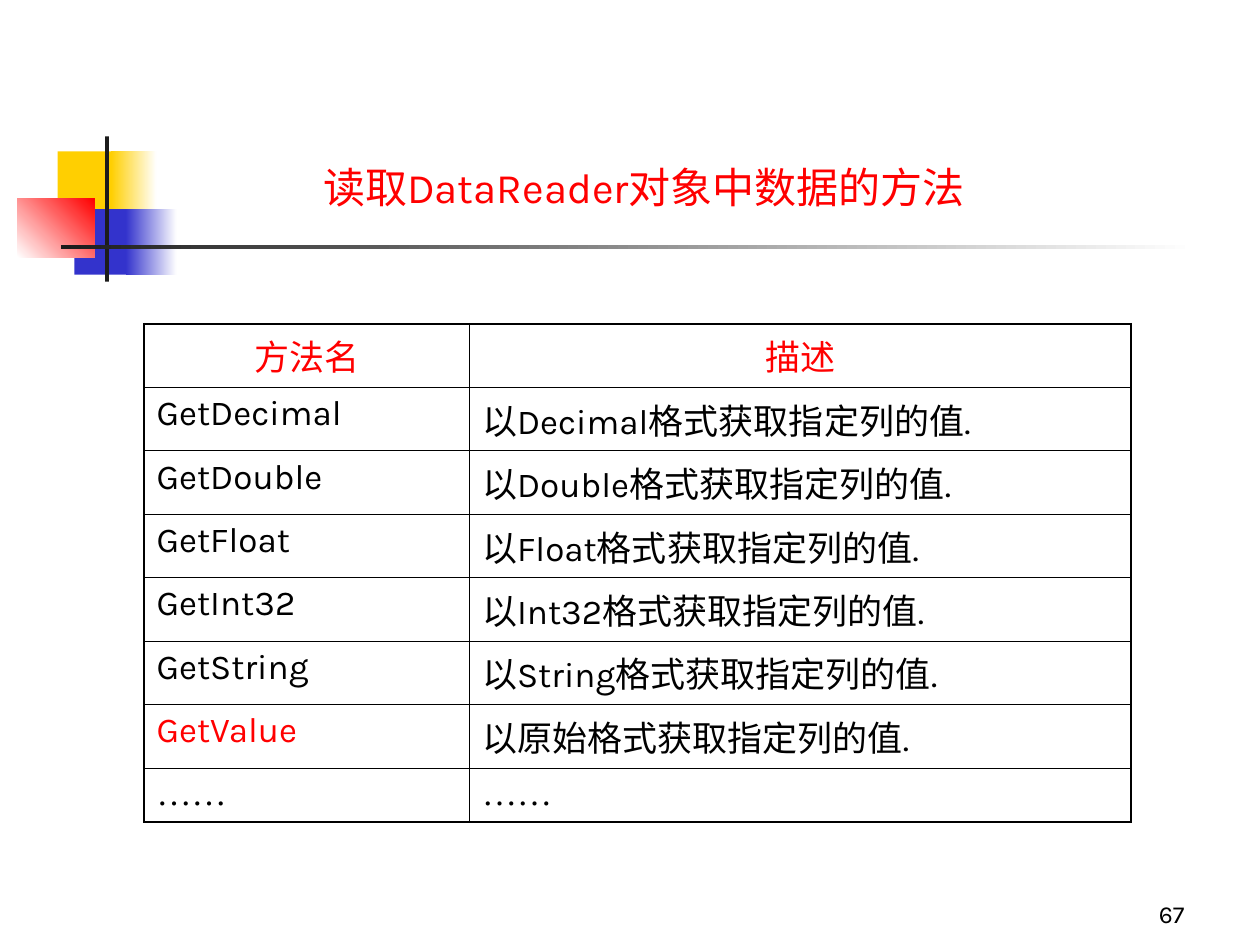
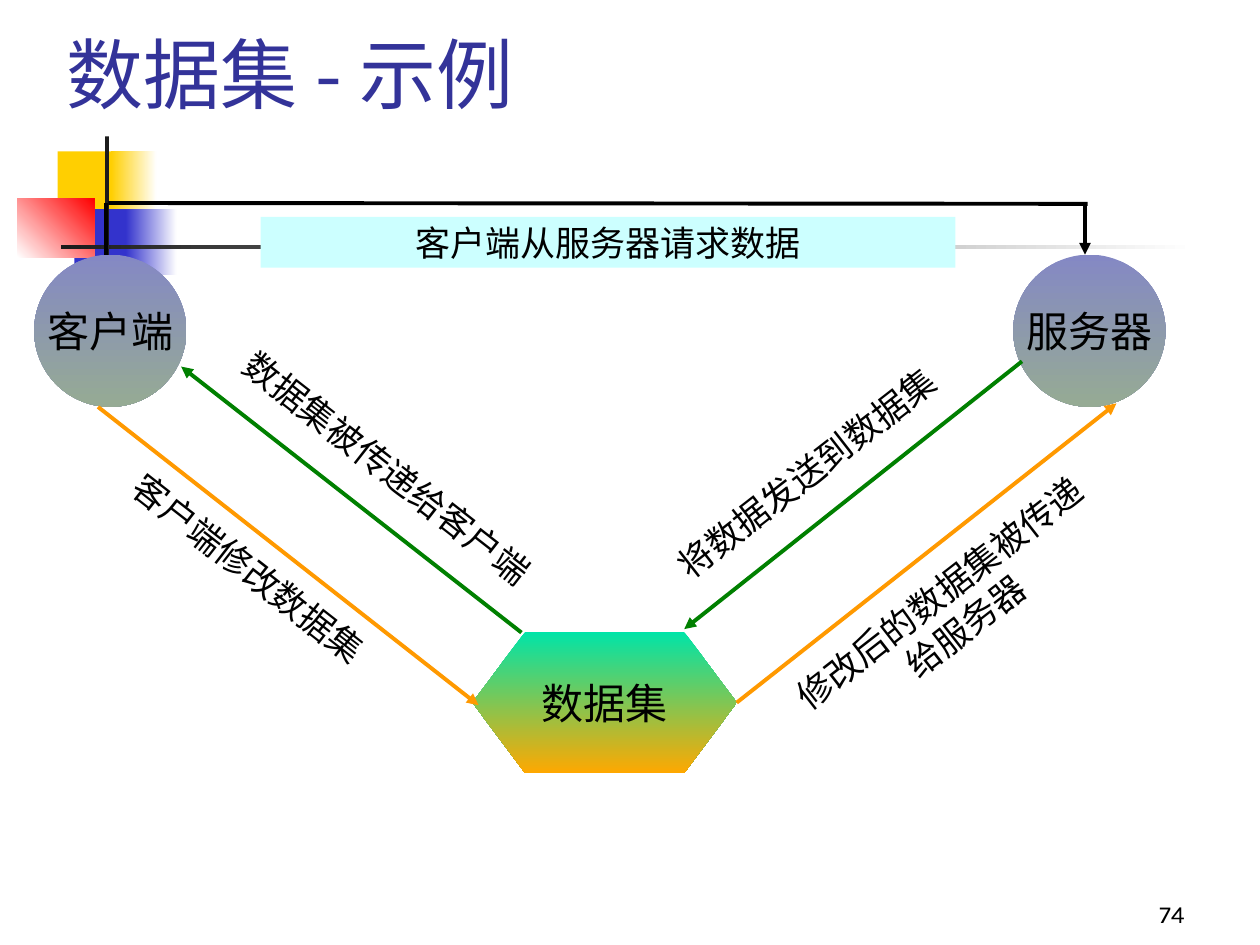
from lxml.etree import SubElement
from pptx import Presentation
from pptx.dml.color import RGBColor
from pptx.enum.shapes import MSO_CONNECTOR, MSO_SHAPE
from pptx.enum.text import MSO_ANCHOR, MSO_AUTO_SIZE, PP_ALIGN
from pptx.oxml import parse_xml
from pptx.oxml.ns import qn
from pptx.util import Pt

# Shared look
BLACK, WHITE, RED, NAVY = "000000", "FFFFFF", "FF0000", "333399"
YELLOW, BLUE, CHARCOAL = "FFCF01", "3333CC", "1C1C1C"
GREEN, ORANGE, CYAN = "008000", "FF9900", "CCFFFF"
BODY_FONT, DIAGRAM_FONT, DOTS_FONT = "Karla", "Arial", "Times New Roman"
CHINESE_FONT = "Noto Sans CJK SC"
DRAWING_NS = "http://schemas.openxmlformats.org/drawingml/2006/main"

# A fill is one colour, or (start, end, clockwise angle)
DECORATION = [
    ((33, 86.5, 34.5, 37.5), YELLOW),
    ((63.5, 86.5, 26, 37.5), (YELLOW, WHITE, 0)),
    ((42.5, 119.5, 33, 37.5), BLUE),
    ((72, 119.5, 29, 37.5), (BLUE, WHITE, 0)),
    ((10, 113.5, 44, 33.5), (WHITE, RED, 315)),
    ((60, 78, 2.25, 83), CHARCOAL),
    ((35, 140, 648, 2.5), (CHARCOAL, WHITE, 0)),
]
NUMBER_BOX = (606, 498, 78, 36)

# Slide 1: reader methods
METHODS_TITLE = [("读取DataReader对象中数据的方法", BODY_FONT)]
METHODS_HEADER = ("方法名", "描述")
METHODS = [
    ("GetDecimal", "以Decimal格式获取指定列的值."),
    ("GetDouble", "以Double格式获取指定列的值."),
    ("GetFloat", "以Float格式获取指定列的值."),
    ("GetInt32", "以Int32格式获取指定列的值."),
    ("GetString", "以String格式获取指定列的值."),
    ("GetValue", "以原始格式获取指定列的值."),
    ("……", "……"),
]
HIGHLIGHTED = {*METHODS_HEADER, "GetValue"}
TABLE_LEFT, TABLE_TOP = 82.25, 185
COLUMN_WIDTHS = (186, 378)
ROW_HEIGHT, LAST_ROW_HEIGHT = 36.25, 31
OUTER_BORDER, INNER_BORDER = 1.08, 0.45

# Slide 2: data set round trip
DATASET_TITLE = [("数据集 ", BODY_FONT), ("- ", CHINESE_FONT), ("示例", BODY_FONT)]
NODE_FILL = ("8488C4", "96AB94", 90)
DATASET_FILL = ("00E4A8", "FFA800", 90)
NODES = [
    ("客户端", MSO_SHAPE.OVAL, (19.5, 145.5, 87, 87), NODE_FILL, 24),
    ("服务器", MSO_SHAPE.OVAL, (579, 145.5, 87, 87), NODE_FILL, 24),
    ("客户端从服务器请求数据", MSO_SHAPE.RECTANGLE, (149, 124, 397, 29), CYAN, 20),
    ("数据集", MSO_SHAPE.FLOWCHART_PREPARATION, (270, 361, 151, 81), DATASET_FILL, 24),
]
REQUEST_LINES = [  # start, end, colour, has arrowhead
    ((60.5, 116), (60.5, 145.5), BLACK, False),
    ((620, 116), (620, 145.5), BLACK, True),
    ((62, 116), (621.5, 116.5), BLACK, False),
]
TRANSFER_LINES = [
    ((584, 206.5), (391, 359.5), GREEN, True),
    ((298, 361.5), (103.5, 209.5), GREEN, True),
    ((56, 232.5), (273.5, 403), ORANGE, True),
]
RETURN_LINE = ((421, 401.5), (638, 230.5), ORANGE, True)
LABELS = [  # lines, box, rotation, alignment
    (["将数据发送到数据集"], (363.5, 254, 196, 32), 322, PP_ALIGN.LEFT),
    (["数据集被传递给客户端"], (113.75, 252, 216, 32), 38, PP_ALIGN.LEFT),
    (["客户端修改数据集"], (54.5, 309.5, 176, 32), 38, PP_ALIGN.LEFT),
    (["修改后的数据集被传递", "给服务器"], (436.25, 320.5, 216, 55.5), 322, PP_ALIGN.CENTER),
]


def rgb(value):
    return RGBColor.from_string(value)


def points(values):
    return [Pt(value) for value in values]


def add_run(paragraph, text, size, colour=BLACK, font=BODY_FONT):
    run = paragraph.add_run()
    run.text = text
    run.font.size = Pt(size)
    run.font.name = font
    run.font.color.rgb = rgb(colour)
    SubElement(run.font._element, qn("a:ea")).set("typeface", CHINESE_FONT)


def paint(shape, fill):
    shape.shadow.inherit = False
    shape.line.fill.background()
    if isinstance(fill, str):
        shape.fill.solid()
        shape.fill.fore_color.rgb = rgb(fill)
        return
    start, end, angle = fill
    shape.fill.gradient()
    shape.fill.gradient_angle = (360 - angle) % 360
    for stop, colour in zip(shape.fill.gradient_stops, (start, end)):
        stop.color.rgb = rgb(colour)


def add_filled_shape(slide, kind, box, fill):
    shape = slide.shapes.add_shape(kind, *points(box))
    paint(shape, fill)
    return shape


def add_text(slide, lines, box, size, align, font, anchor=MSO_ANCHOR.TOP, wrap=False):
    shape = slide.shapes.add_textbox(*points(box))
    frame = shape.text_frame
    frame.word_wrap = wrap
    frame.auto_size = MSO_AUTO_SIZE.NONE if wrap else MSO_AUTO_SIZE.SHAPE_TO_FIT_TEXT
    frame.vertical_anchor = anchor
    for index, line in enumerate(lines):
        paragraph = frame.add_paragraph() if index else frame.paragraphs[0]
        paragraph.alignment = align
        add_run(paragraph, line, size, font=font)
    return shape


def add_line(slide, start, end, colour, arrow):
    line = slide.shapes.add_connector(MSO_CONNECTOR.STRAIGHT, *points(start + end))
    line.line.color.rgb = rgb(colour)
    line.line.width = Pt(2.25)
    if arrow:
        SubElement(line.line._get_or_add_ln(), qn("a:tailEnd")).set("type", "triangle")
    SubElement(line._element.spPr, qn("a:effectLst"))
    return line


def add_base_slide(presentation, number, title_runs, title_box, size, colour, align, anchor):
    slide = presentation.slides.add_slide(presentation.slide_layouts[5])
    for box, fill in DECORATION:
        add_filled_shape(slide, MSO_SHAPE.RECTANGLE, box, fill)
    add_text(slide, [number], NUMBER_BOX, 14, PP_ALIGN.RIGHT, BODY_FONT,
             MSO_ANCHOR.BOTTOM, True)

    title = slide.shapes.title
    title.left, title.top, title.width, title.height = points(title_box)
    frame = title.text_frame
    frame.auto_size = MSO_AUTO_SIZE.NONE
    frame.word_wrap = True
    frame.vertical_anchor = anchor
    paragraph = frame.paragraphs[0]
    paragraph.alignment = align
    paragraph.line_spacing = 1.0
    for text, font in title_runs:
        add_run(paragraph, text, size, colour, font)
    return slide


def set_borders(cell, widths):
    properties = cell._tc.get_or_add_tcPr()
    for side, width in zip("LRTB", widths):
        properties.append(parse_xml(
            f'<a:ln{side} xmlns:a="{DRAWING_NS}" w="{Pt(width)}"><a:solidFill>'
            f'<a:srgbClr val="{BLACK}"/></a:solidFill></a:ln{side}>'))


def build_methods_slide(presentation):
    slide = add_base_slide(presentation, "67", METHODS_TITLE, (158.5, 88.5, 419, 36),
                           24, RED, PP_ALIGN.CENTER, MSO_ANCHOR.TOP)
    rows = [METHODS_HEADER, *METHODS]
    heights = [ROW_HEIGHT] * (len(rows) - 1) + [LAST_ROW_HEIGHT]
    box = (TABLE_LEFT, TABLE_TOP, sum(COLUMN_WIDTHS), sum(heights))
    table = slide.shapes.add_table(len(rows), len(COLUMN_WIDTHS), *points(box)).table
    table.first_row = table.horz_banding = False
    for column, width in zip(table.columns, COLUMN_WIDTHS):
        column.width = Pt(width)
    last_row, last_column = len(rows) - 1, len(COLUMN_WIDTHS) - 1

    for row_index, texts in enumerate(rows):
        table.rows[row_index].height = Pt(heights[row_index])
        for column_index, text in enumerate(texts):
            cell = table.cell(row_index, column_index)
            on_edge = (column_index == 0, column_index == last_column,
                       row_index == 0, row_index == last_row)
            set_borders(cell, [OUTER_BORDER if edge else INNER_BORDER for edge in on_edge])
            cell.fill.background()
            paragraph = cell.text_frame.paragraphs[0]
            paragraph.alignment = PP_ALIGN.LEFT if row_index else PP_ALIGN.CENTER
            add_run(paragraph, text, 20, RED if text in HIGHLIGHTED else BLACK,
                    DOTS_FONT if row_index == last_row else BODY_FONT)


def build_dataset_slide(presentation):
    slide = add_base_slide(presentation, "74", DATASET_TITLE, (31, 24, 648, 47.5),
                           44, NAVY, PP_ALIGN.LEFT, MSO_ANCHOR.BOTTOM)
    for line in REQUEST_LINES:
        add_line(slide, *line)

    # Nodes and the request banner
    nodes = {}
    for text, kind, box, fill, size in NODES:
        shape = add_filled_shape(slide, kind, box, fill)
        frame = shape.text_frame
        frame.word_wrap = False
        frame.vertical_anchor = MSO_ANCHOR.MIDDLE
        frame.paragraphs[0].alignment = PP_ALIGN.CENTER
        add_run(frame.paragraphs[0], text, size, font=DIAGRAM_FONT)
        nodes[text] = shape

    # Slanted labels and transfer arrows
    for lines, box, rotation, align in LABELS:
        add_text(slide, lines, box, 20, align, DIAGRAM_FONT).rotation = rotation
    for line in TRANSFER_LINES:
        add_line(slide, *line)
    add_line(slide, *RETURN_LINE).begin_connect(nodes["数据集"], 3)


def main():
    presentation = Presentation()
    presentation.slide_width, presentation.slide_height = Pt(720), Pt(540)
    build_methods_slide(presentation)
    build_dataset_slide(presentation)
    presentation.save("out.pptx")


if __name__ == "__main__":
    main()
